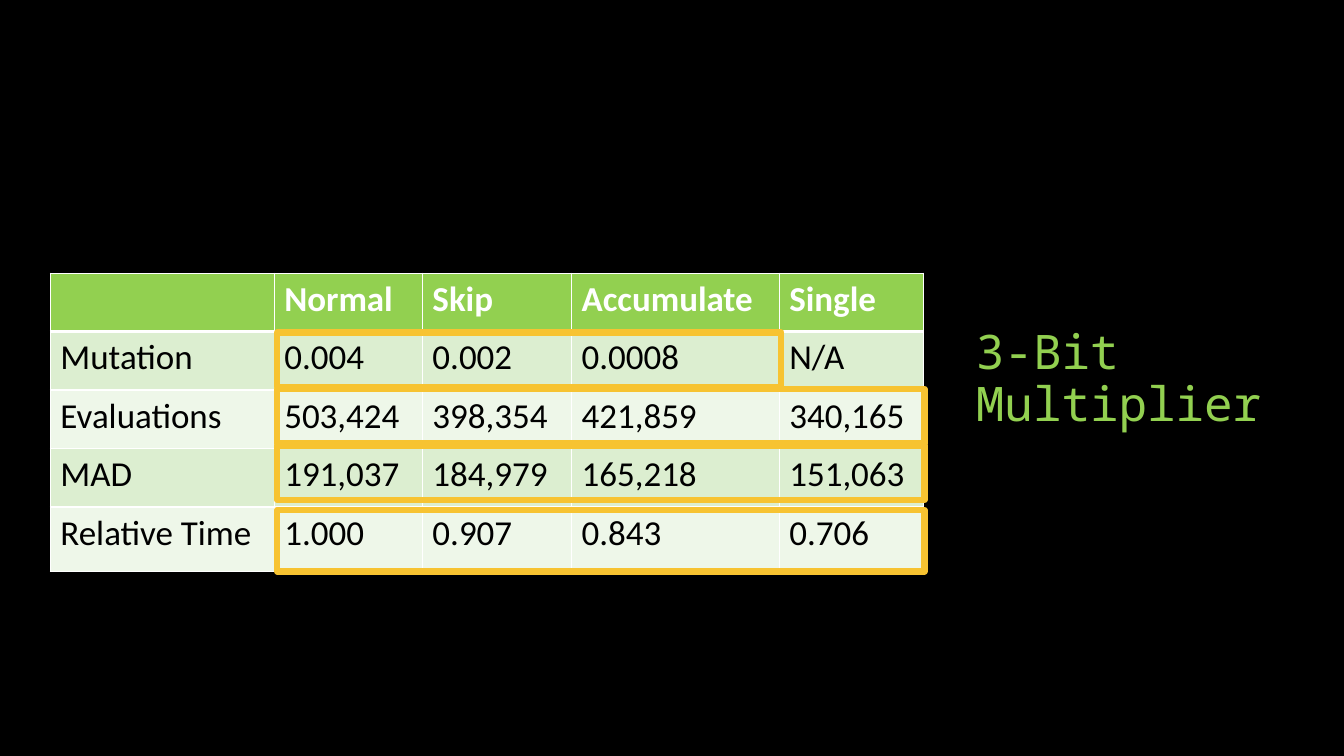
from lxml.etree import SubElement
from pptx import Presentation
from pptx.dml.color import RGBColor
from pptx.enum.shapes import MSO_SHAPE
from pptx.enum.text import MSO_ANCHOR, PP_ALIGN
from pptx.oxml.ns import qn
from pptx.util import Inches, Pt

GREEN, GOLD, WHITE, BLACK = "92D050", "F7C331", "FFFFFF", "000000"
BANDS = ["DCEED0", "EEF7E9"]
COLS = [2.22, 1.47, 1.48, 2.06, 1.43]
ROWS = [0.58, 0.58, 0.58, 0.58, 0.64]
RESULTS = [
    ["", "Normal", "Skip", "Accumulate", "Single"],
    ["Mutation", "0.004", "0.002", "0.0008", "N/A"],
    ["Evaluations", "503,424", "398,354", "421,859", "340,165"],
    ["MAD", "191,037", "184,979", "165,218", "151,063"],
    ["Relative Time", "1.000", "0.907", "0.843", "0.706"],
]
FRAMES = [(3.3, 5, 0.54), (3.86, 6.42, 0.54), (4.42, 6.42, 0.54), (5.06, 6.42, 0.61)]


def paint(target, color):
    """Give a fill or line format a solid hex colour."""
    target.solid()
    target.fore_color.rgb = RGBColor.from_string(color)


def write(frame, text, size=25, font="Calibri", color=BLACK, bold=False, spacing=1.0):
    """Write one formatted, left-aligned paragraph into a text frame."""
    para = frame.paragraphs[0]
    para.alignment = PP_ALIGN.LEFT
    para.line_spacing = spacing
    run = para.add_run()
    run.text = text
    run.font.size = Pt(size)
    run.font.name = font
    run.font.bold = bold
    paint(run.font.fill, color)


def add_title(slide, text):
    """Place and format the title placeholder."""
    title = slide.shapes.title
    title.left, title.top = Inches(9.58), Inches(2.33)
    title.width, title.height = Inches(3.41), Inches(2)
    title.text_frame.word_wrap = True
    title.text_frame.vertical_anchor = MSO_ANCHOR.BOTTOM
    write(title.text_frame, text, size=34, font="Noto Sans Mono", color=GREEN, spacing=0.9)


def add_border(cell, side, width):
    """Draw one white edge of a table cell."""
    props = cell._tc.get_or_add_tcPr()
    line = SubElement(props, qn(f"a:ln{side}"), w=str(Pt(width)))
    fill = SubElement(line, qn("a:solidFill"))
    SubElement(fill, qn("a:srgbClr"), val=WHITE)


def add_results(slide):
    """Add the results table with a green header and banded rows."""
    shape = slide.shapes.add_table(
        len(ROWS), len(COLS), Inches(0.5), Inches(2.71), Inches(sum(COLS)), Inches(sum(ROWS))
    )
    table = shape.table
    for col, width in zip(table.columns, COLS):
        col.width = Inches(width)
    for r, values in enumerate(RESULTS):
        table.rows[r].height = Inches(ROWS[r])
        head = r == 0
        for c, value in enumerate(values):
            cell = table.cell(r, c)
            for side in "LRTB":
                thick = (r, side) in [(0, "B"), (1, "T")]
                add_border(cell, side, 3 if thick else 1)
            paint(cell.fill, GREEN if head else BANDS[(r - 1) % 2])
            if value:
                write(cell.text_frame, value, color=WHITE if head else BLACK, bold=head)


def add_frame(slide, top, width, height):
    """Outline a group of table cells in gold."""
    frame = slide.shapes.add_shape(
        MSO_SHAPE.RECTANGLE, Inches(2.75), Inches(top), Inches(width), Inches(height)
    )
    frame.shadow.inherit = False
    frame.fill.background()
    paint(frame.line.fill, GOLD)
    frame.line.width = Pt(4.5)


def main():
    """Build and save the slide."""
    deck = Presentation()
    deck.slide_width, deck.slide_height = Inches(13.33), Inches(7.5)
    slide = deck.slides.add_slide(deck.slide_layouts[5])
    paint(slide.background.fill, BLACK)
    add_title(slide, "3-Bit Multiplier")
    add_results(slide)
    for top, width, height in FRAMES:
        add_frame(slide, top, width, height)
    deck.save("out.pptx")


if __name__ == "__main__":
    main()
